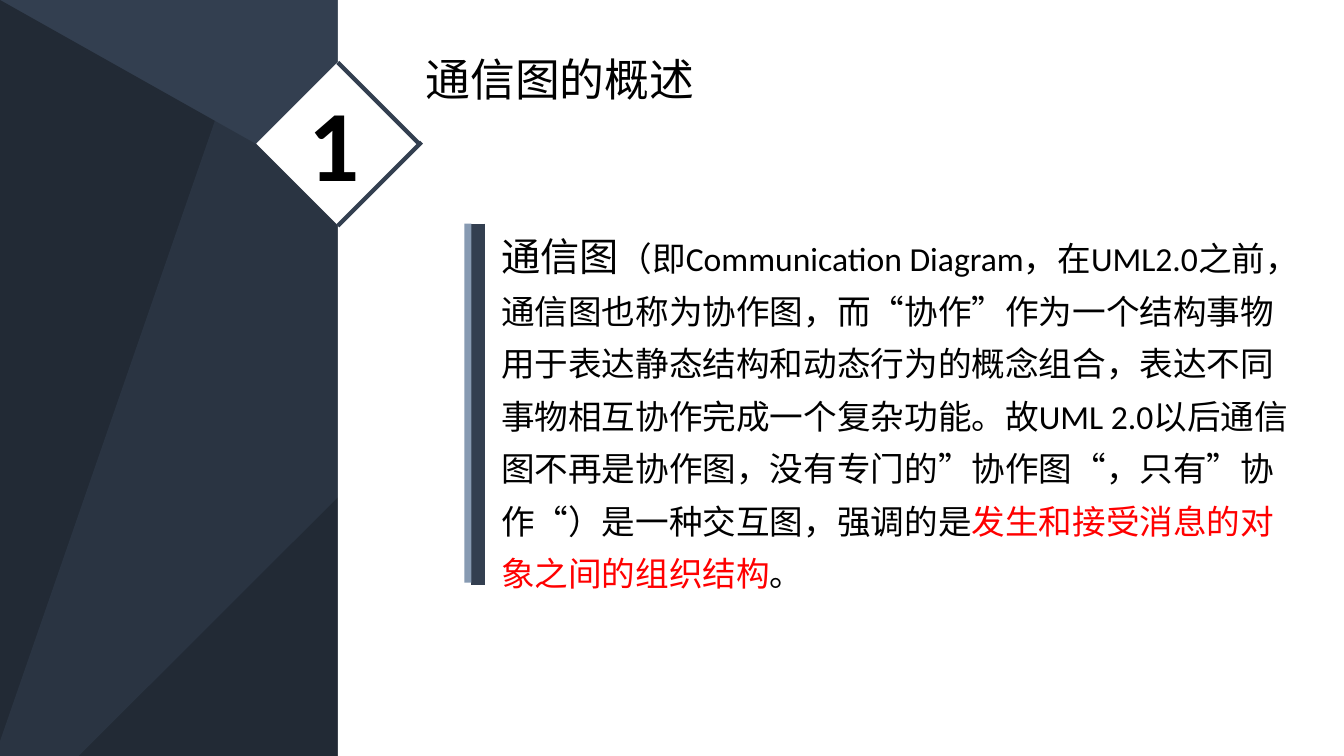
from typing import NamedTuple

from lxml import etree
from pptx import Presentation
from pptx.dml.color import RGBColor
from pptx.enum.lang import MSO_LANGUAGE_ID
from pptx.enum.shapes import MSO_CONNECTOR, MSO_SHAPE
from pptx.enum.text import MSO_ANCHOR, MSO_AUTO_SIZE, PP_ALIGN
from pptx.oxml.ns import qn
from pptx.util import Inches, Pt

RECTANGLE = MSO_SHAPE.RECTANGLE
TRIANGLE = MSO_SHAPE.ISOSCELES_TRIANGLE
STRAIGHT = MSO_CONNECTOR.STRAIGHT
CHINESE = MSO_LANGUAGE_ID.SIMPLIFIED_CHINESE
TOP = MSO_ANCHOR.TOP
LEFT = PP_ALIGN.LEFT
NO_AUTO_SIZE = MSO_AUTO_SIZE.NONE

HAN_FONT = "Noto Sans CJK SC"
LATIN_FONT = "Calibri"
SLATE, DARK, PALE = "333F50", "222A35", "8497B0"
WHITE, BLACK, RED = "FFFFFF", "000000", "FF0000"


class Panel(NamedTuple):
    """A filled shape without outline; lengths in inches."""
    kind: int
    box: tuple
    color: str
    rotation: float = 0
    apex: float | None = None
    opacity: int = 100


class Rule(NamedTuple):
    """A straight line; ends in inches, width in points."""
    start: tuple
    end: tuple
    color: str
    width: float
    opacity: int = 100


class Run(NamedTuple):
    """A stretch of text in one format."""
    text: str
    size: float
    font: str = HAN_FONT
    color: str = BLACK
    bold: bool = False


BACKDROP = [
    Panel(TRIANGLE, (0, 0, 13.33, 7.5), DARK, apex=0),
    Panel(TRIANGLE, (1.18, -1.16, 5.41, 11.12), SLATE, 199.1, 1, 50),
    Panel(RECTANGLE, (3.35, 0, 9.98, 7.5), WHITE),
]
DIAMOND = Panel(RECTANGLE, (2.78, 0.85, 1.15, 1.15), WHITE, 45)
DIAMOND_EDGES = [
    Rule((3.35, 0.62), (4.16, 1.43), SLATE, 3),
    Rule((4.18, 1.41), (3.35, 2.24), SLATE, 3),
]
SIDE_BARS = [
    Rule((4.74, 2.22), (4.74, 5.8), SLATE, 10),
    Rule((4.64, 2.22), (4.64, 5.78), PALE, 5, 96),
]
DEFINITION = [
    Run("通信图", 28),
    Run("（", 24),
    Run("即Communication Diagram，在UML2.0之前，通信图也称为协作图，"
        "而“协作”作为一个结构事物用于表达静态结构和动态行为的概念组合，"
        "表达不同事物相互协作完成一个复杂功能。故UML 2.0以后通信图不再是协作图，"
        "没有专门的”协作图“，只有”协作“", 24, LATIN_FONT),
    Run("）是一种交互图，强调的是", 24),
    Run("发生和接受消息的对象之间的组织结构", 24, color=RED),
    Run("。", 24),
]


def rgb(color: str) -> RGBColor:
    """Turn a hex string into a colour."""
    return RGBColor.from_string(color)


def paint(shape, fill, color: str, opacity: int) -> None:
    """Give a fill of the shape a solid colour and an opacity in percent."""
    fill.solid()
    fill.fore_color.rgb = rgb(color)
    if opacity < 100:
        for node in shape.element.iter(qn("a:srgbClr")):
            etree.SubElement(node, qn("a:alpha"), val=str(opacity * 1000))


def add_panel(shapes, panel: Panel) -> None:
    """Draw a filled shape."""
    shape = shapes.add_shape(panel.kind, *map(Inches, panel.box))
    shape.shadow.inherit = False
    shape.line.fill.background()
    shape.rotation = panel.rotation
    if panel.apex is not None:
        shape.adjustments[0] = panel.apex
    paint(shape, shape.fill, panel.color, panel.opacity)


def add_rule(shapes, rule: Rule) -> None:
    """Draw a straight line without shadow."""
    line = shapes.add_connector(STRAIGHT, *map(Inches, rule.start + rule.end))
    line.line.width = Pt(rule.width)
    paint(line, line.line.fill, rule.color, rule.opacity)
    etree.SubElement(line.element.spPr, qn("a:effectLst"))


def write_text(shape, runs: list[Run], *, box: tuple, margins: tuple = (0.1, 0.05),
               line_spacing: float = 1.0, wrap: bool = True) -> None:
    """Place a text shape and fill it with one left-aligned paragraph."""
    shape.left, shape.top, shape.width, shape.height = map(Inches, box)
    frame = shape.text_frame
    frame.word_wrap = wrap
    frame.auto_size = NO_AUTO_SIZE
    frame.vertical_anchor = TOP
    frame.margin_left = frame.margin_right = Inches(margins[0])
    frame.margin_top = frame.margin_bottom = Inches(margins[1])
    paragraph = frame.paragraphs[0]
    paragraph.alignment = LEFT
    paragraph.line_spacing = line_spacing
    paragraph.space_before = Pt(0)
    for part in runs:
        run = paragraph.add_run()
        run.text = part.text
        font = run.font
        font.size, font.bold, font.name = Pt(part.size), part.bold, part.font
        font.color.rgb = rgb(part.color)
        font.language_id = CHINESE
    for properties in shape.element.iter(qn("a:rPr")):
        etree.SubElement(properties, qn("a:ea"), typeface=HAN_FONT)
    for properties in shape.element.iter(qn("a:pPr")):
        properties.set("marL", "0")
        properties.set("indent", "0")
        etree.SubElement(properties, qn("a:buNone"))


def bring_to_front(slide, shape) -> None:
    """Move a shape above everything drawn so far."""
    slide.shapes.element.append(shape.element)


def main() -> None:
    """Build and save the slide."""
    presentation = Presentation()
    presentation.slide_width = Inches(13.33)
    presentation.slide_height = Inches(7.5)
    slide = presentation.slides.add_slide(presentation.slide_layouts[1])
    shapes = slide.shapes
    title, body = shapes.title, slide.placeholders[1]
    slide.background.fill.solid()
    slide.background.fill.fore_color.rgb = rgb(SLATE)

    for panel in BACKDROP:
        add_panel(shapes, panel)
    badge = shapes.add_group_shape()
    add_panel(badge.shapes, DIAMOND)
    for edge in DIAMOND_EDGES:
        add_rule(badge.shapes, edge)

    number_box = (2.96, 0.75, 0.75, 1.31)
    number = shapes.add_textbox(*map(Inches, number_box))
    write_text(number, [Run("1", 72, LATIN_FONT, bold=True)], box=number_box, wrap=False)

    bring_to_front(slide, title)
    write_text(title, [Run("通信图的概述", 32)], box=(4.12, 0.46, 4.09, 0.64))
    for bar in SIDE_BARS:
        add_rule(shapes, bar)
    bring_to_front(slide, body)
    write_text(body, DEFINITION, box=(4.9, 2.12, 8.11, 3.79),
               margins=(0.07, 0.04), line_spacing=1.3)
    presentation.save("out.pptx")


main()
